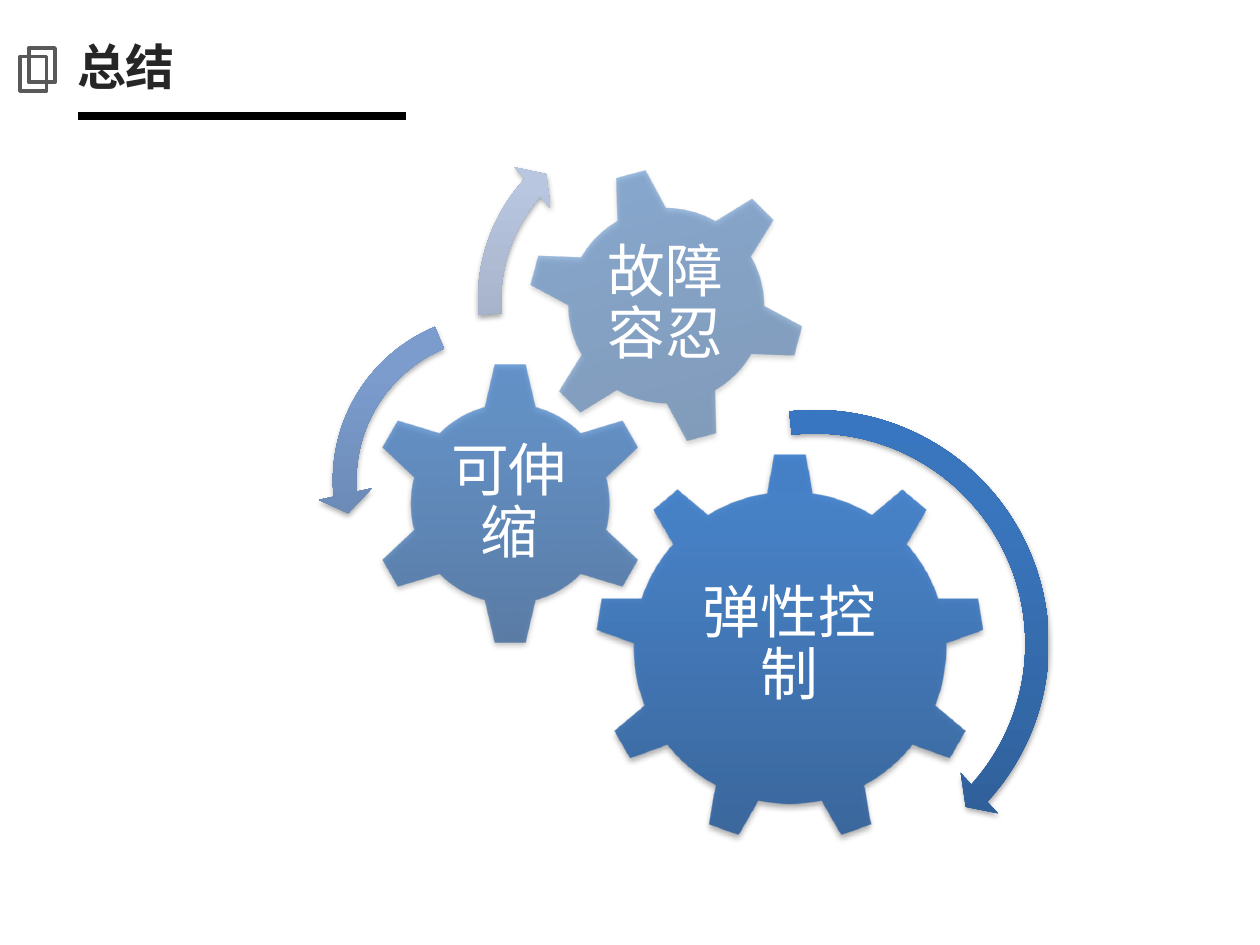
"""Build the summary slide: three meshing gears with turning arrows."""
from lxml.etree import SubElement
from pptx import Presentation
from pptx.dml.color import RGBColor
from pptx.enum.shapes import MSO_CONNECTOR, MSO_SHAPE as Preset
from pptx.enum.text import MSO_ANCHOR as Anchor, PP_ALIGN as Align
from pptx.oxml import parse_xml
from pptx.oxml.ns import nsdecls, qn
from pptx.util import Cm, Pt

FONT = "Noto Sans CJK SC"


def style_text(frame, size, color, align, bold=False):
    frame.word_wrap = True
    frame.vertical_anchor = Anchor.MIDDLE
    paragraph = frame.paragraphs[0]
    paragraph.alignment = align
    font = paragraph.runs[0].font
    font.size, font.bold, font.name = Pt(size), bold, FONT
    font.color.rgb = RGBColor.from_string(color)
    SubElement(paragraph.runs[0]._r.rPr, qn("a:ea"), typeface=FONT)


def add_wheel_part(group, preset, left, top, size, colors, opacity):
    part = group.shapes.add_shape(preset, Cm(left), Cm(top), Cm(size), Cm(size))
    part.line.fill.background()
    part.fill.background()
    stops = "".join(
        f'<a:gs pos="{pos}000"><a:srgbClr val="{color}"><a:alpha val="{opacity}000"/></a:srgbClr></a:gs>'
        for pos, color in zip((0, 80, 100), colors))
    properties = part._element.spPr
    properties.replace(properties.find(qn("a:noFill")), parse_xml(
        f'<a:gradFill {nsdecls("a")} rotWithShape="1"><a:gsLst>{stops}</a:gsLst>'
        '<a:lin ang="16200000" scaled="0"/></a:gradFill>'))
    part.shadow.inherit = False
    properties.find(qn("a:effectLst")).append(parse_xml(
        f'<a:outerShdw {nsdecls("a")} blurRad="40000" dist="23000" dir="5400000" rotWithShape="0">'
        '<a:srgbClr val="000000"><a:alpha val="35000"/></a:srgbClr></a:outerShdw>'))
    return part


deck = Presentation()
deck.slide_width, deck.slide_height = Cm(25.4), Cm(19.05)
slide = deck.slides.add_slide(deck.slide_layouts[5])

underline = slide.shapes.add_connector(MSO_CONNECTOR.STRAIGHT, Cm(1.57), Cm(2.34), Cm(8.18), Cm(2.34))
underline.line.width = Pt(4.5)
underline.line.color.rgb = RGBColor.from_string("000000")
SubElement(underline._element.spPr, qn("a:effectLst"))

icon = slide.shapes.add_group_shape()
for left, top in ((0.41, 1.14), (0.58, 0.97)):
    sheet = icon.shapes.add_shape(Preset.RECTANGLE, Cm(left), Cm(top), Cm(0.53), Cm(0.69))
    sheet.shadow.inherit = False
    sheet.fill.background()
    sheet.line.width = Pt(2.25)
    sheet.line.color.rgb = RGBColor.from_string("595959")

title = slide.shapes.title
title.left, title.top, title.width, title.height = Cm(1.3), Cm(0.33), Cm(23.39), Cm(2.01)
title.text_frame.text = "总结"
style_text(title.text_frame, 28, "262626", Align.LEFT, bold=True)

GEAR_COLORS = ("2F5F99", "3D7CC7", "3A7CCB")
gears = [
    ("弹性控制", Preset.GEAR_9, 11.99, 9.14, 7.85, 0, 90, (13.56, 11, 4.7, 4.04)),
    ("可伸缩", Preset.GEAR_6, 7.42, 7.29, 5.72, 0, 70, (8.84, 8.74, 2.84, 2.82)),
    ("故障容忍", Preset.GEAR_6, 10.62, 3.35, 5.61, 345, 50, (11.84, 4.57, 3.15, 3.15)),
]
arrows = [
    (Preset.CIRCULAR_ARROW, 11.4, 7.95, 10.06, ("2D5B92", "3A76BE", "3876C2"),
     (0.047, 2.99, 25.35, 158.213, 0.055)),
    (Preset.LEFT_CIRCULAR_ARROW, 6.4, 6.02, 7.32, ("5E789E", "7B9CCD", "7A9CCF"),
     (0.065, 4.3, 104.891, 148.378, 0.075)),
    (Preset.CIRCULAR_ARROW, 9.32, 2.11, 7.87, ("8E98AC", "B8C6DF", "B8C6E1"),
     (0.06, 3.941, 133.138, 105.082, 0.07)),
]

gearwork = slide.shapes.add_group_shape()
for quality, preset, left, top, size, rotation, opacity, label_box in gears:
    gear = add_wheel_part(gearwork, preset, left, top, size, GEAR_COLORS, opacity)
    gear.rotation = rotation
    label = gearwork.shapes.add_textbox(*map(Cm, label_box)).text_frame
    label.text = quality
    label.margin_left = label.margin_right = label.margin_top = label.margin_bottom = Cm(0.12)
    label.paragraphs[0].line_spacing = 0.9
    style_text(label, 33, "FFFFFF", Align.CENTER)

for preset, left, top, size, colors, adjustments in arrows:
    arrow = add_wheel_part(gearwork, preset, left, top, size, colors, 100)
    for index, value in enumerate(adjustments):
        arrow.adjustments[index] = value

deck.save("out.pptx")
